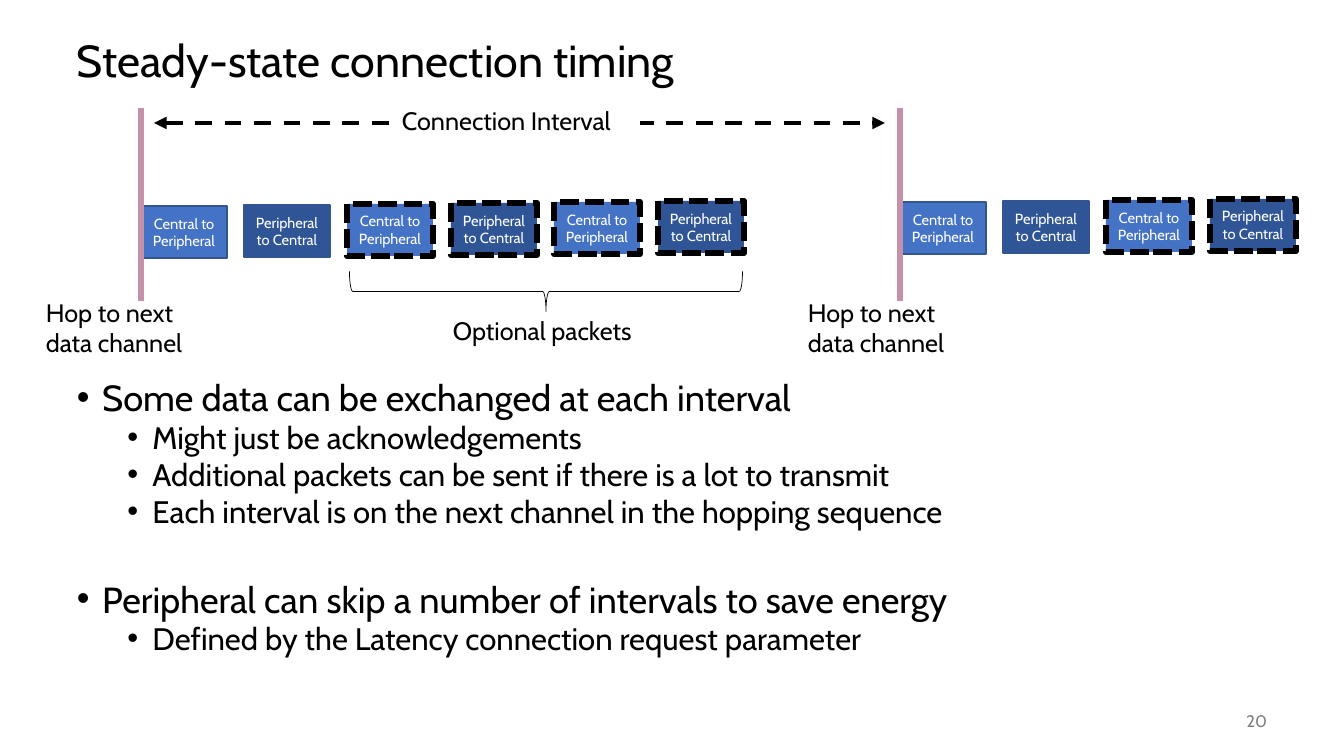
from lxml import etree
from pptx import Presentation
from pptx import util as u
from pptx.dml.color import RGBColor
from pptx.enum import dml, shapes, text
from pptx.oxml.ns import qn

PX = 914400 / 100.8
COLORS = {
    "black": "000000", "white": "FFFFFF", "gray": "808080", "pink": "C490AA",
    "central": "4472C4", "peripheral": "2F5597", "edge": "325491",
}


def emu(*lengths):
    """Turn px lengths into EMU."""
    return [u.Emu(round(n * PX)) for n in lengths]


def write(sp, content, size=18, color="black", align="LEFT", anchor="TOP",
          spacing=None, before=0, level=None):
    """Fill the first paragraph of a shape, or add one if it has text."""
    tf = sp.text_frame
    tf.word_wrap = True
    tf.vertical_anchor = getattr(text.MSO_ANCHOR, anchor)
    p = tf.add_paragraph() if tf.text else tf.paragraphs[0]
    if level is not None:
        p.level = level
        pPr = p._p.get_or_add_pPr()
        hang = u.Inches(0.25)
        pPr.set("marL", str(hang + level * u.Inches(0.5)))
        pPr.set("indent", str(-hang))
        etree.SubElement(pPr, qn("a:buFont")).set("typeface", "Arial")
        etree.SubElement(pPr, qn("a:buChar")).set("char", "•")
    p.alignment = getattr(text.PP_ALIGN, align)
    if spacing:
        p.line_spacing = spacing
    if before:
        p.space_before = u.Pt(before)
    r = p.add_run()
    r.text = content
    r.font.name = "Cabin"
    r.font.size = u.Pt(size)
    r.font.color.rgb = RGBColor.from_string(COLORS[color])


prs = Presentation()
prs.slide_width, prs.slide_height = emu(1344, 756)
s = prs.slides.add_slide(prs.slide_layouts[6])

title = s.shapes.add_textbox(*emu(67, 25, 1210, 76))
write(title, "Steady-state connection timing", size=32, anchor="MIDDLE", spacing=0.9)

# Bullets: level, space before, text
body = s.shapes.add_textbox(*emu(67, 379, 1210, 301))
for level, before, content in [
    (0, 0, "Some data can be exchanged at each interval"),
    (1, 5, "Might just be acknowledgements"),
    (1, 5, "Additional packets can be sent if there is a lot to transmit"),
    (1, 5, "Each interval is on the next channel in the hopping sequence"),
    (0, 40, "Peripheral can skip a number of intervals to save energy"),
    (1, 5, "Defined by the Latency connection request parameter"),
]:
    write(body, content, size=22.2 if level else 25.9, spacing=0.8,
          before=before, level=level)

number = s.shapes.add_textbox(*emu(1176, 701, 101, 40))
write(number, "20", size=12, color="gray", align="RIGHT", anchor="MIDDLE")

# Packets of each interval: the first pair is required, the rest optional
for left, top, count in [(141, 206, 6), (900, 202, 4)]:
    for i in range(count):
        sender, label = [("central", "Central to Peripheral"),
                         ("peripheral", "Peripheral to Central")][i % 2]
        packet = s.shapes.add_shape(shapes.MSO_SHAPE.RECTANGLE,
                                    *emu(left + i * 517 // 5, top - i, 86, 52))
        packet.shadow.inherit = False
        packet.fill.solid()
        packet.fill.fore_color.rgb = RGBColor.from_string(COLORS[sender])
        optional = i >= 2
        packet.line.color.rgb = RGBColor.from_string(COLORS["black" if optional else "edge"])
        packet.line.width = u.Pt(4.5 if optional else 1)
        if optional:
            packet.line.dash_style = dml.MSO_LINE.SQUARE_DOT
        write(packet, label, size=10.5, color="white", align="CENTER", anchor="MIDDLE")

# Channel hops and the interval arrow between them
for x1, y1, x2, y2, color, width, is_arrow in [
    (141, 108, 141, 301, "pink", 4.5, False),
    (900, 108, 900, 301, "pink", 4.5, False),
    (154, 123, 885, 123, "black", 3, True),
]:
    line = s.shapes.add_connector(shapes.MSO_CONNECTOR.STRAIGHT, *emu(x1, y1, x2, y2))
    line.line.color.rgb = RGBColor.from_string(COLORS[color])
    line.line.width = u.Pt(width)
    if is_arrow:
        line.line.dash_style = dml.MSO_LINE.DASH
        for end in ("a:headEnd", "a:tailEnd"):
            etree.SubElement(line.line._get_or_add_ln(), qn(end)).set("type", "triangle")
    etree.SubElement(line._element.spPr, qn("a:effectLst"))

interval = s.shapes.add_textbox(*emu(392, 100, 248, 40))
interval.fill.solid()
interval.fill.fore_color.rgb = RGBColor.from_string(COLORS["white"])
write(interval, "Connection Interval")

for left in (798, 36):
    hop = s.shapes.add_textbox(*emu(left, 292, 172, 72))
    write(hop, "Hop to next data channel")

brace = s.shapes.add_shape(shapes.MSO_SHAPE.LEFT_BRACE, *emu(526, 95, 40, 393))
brace.rotation = 270
brace.shadow.inherit = False
brace.fill.background()
brace.line.color.rgb = RGBColor.from_string(COLORS["black"])
brace.line.width = u.Pt(0.5)

optional_label = s.shapes.add_textbox(*emu(443, 310, 223, 40))
write(optional_label, "Optional packets")

prs.save("out.pptx")
